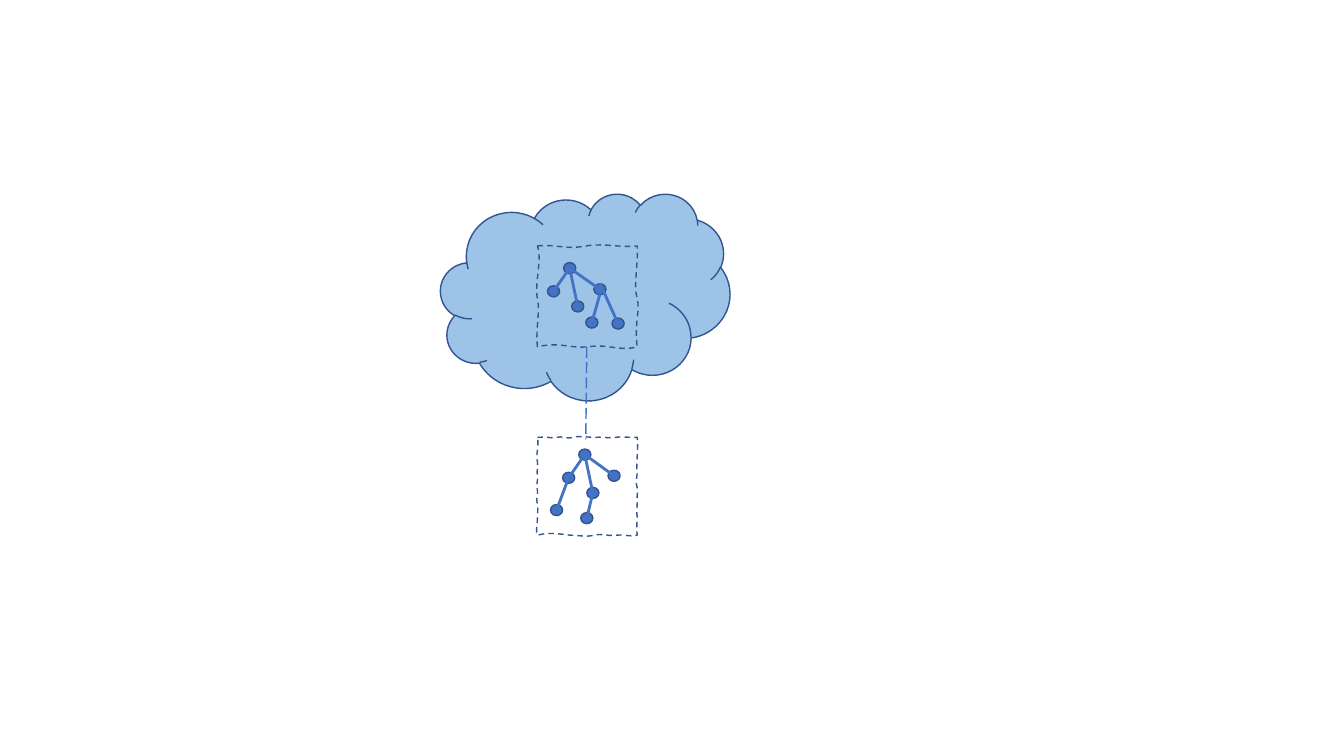
from pptx import Presentation
from pptx.dml.color import RGBColor
from pptx.enum import dml, shapes
from pptx.oxml.ns import qn
from pptx.util import Inches, Pt
from lxml import etree

SKY = RGBColor(0x9D, 0xC3, 0xE6)
BLUE = RGBColor(0x44, 0x72, 0xC4)
NAVY = RGBColor(0x32, 0x54, 0x91)

NODE_W, NODE_H = 0.12, 0.11
CLOUD = (4.37, 1.92, 2.87, 2.05)
LINK = ((5.82, 3.44), (5.81, 4.36))

# Nodes are centres; edges are (parent, child, vertical offset of the start).
# Each frame curve is two control points and an end point.
LOWER_TREE = {
    "nodes": [(5.8, 4.51), (5.64, 4.74), (5.88, 4.89),
              (6.09, 4.72), (5.52, 5.06), (5.82, 5.14)],
    "edges": [(0, 1, 0), (0, 2, 0), (1, 4, 0), (0, 3, 0), (2, 5, 0)],
    "start": (5.33, 4.34),
    "frame": [
        (5.41, 4.33, 5.47, 4.35, 5.52, 4.34), (5.56, 4.32, 5.64, 4.36, 5.68, 4.34),
        (5.73, 4.32, 5.85, 4.34, 5.9, 4.34), (5.95, 4.33, 6.03, 4.35, 6.09, 4.34),
        (6.15, 4.33, 6.23, 4.34, 6.32, 4.34), (6.33, 4.42, 6.32, 4.45, 6.32, 4.52),
        (6.32, 4.59, 6.31, 4.64, 6.32, 4.68), (6.32, 4.72, 6.3, 4.79, 6.32, 4.84),
        (6.33, 4.89, 6.31, 4.95, 6.32, 4.99), (6.32, 5.02, 6.31, 5.09, 6.32, 5.13),
        (6.32, 5.17, 6.31, 5.24, 6.32, 5.31), (6.25, 5.33, 6.21, 5.3, 6.11, 5.31),
        (6.01, 5.32, 5.98, 5.29, 5.89, 5.31), (5.81, 5.33, 5.74, 5.31, 5.67, 5.31),
        (5.61, 5.31, 5.46, 5.27, 5.33, 5.31), (5.31, 5.27, 5.33, 5.21, 5.33, 5.15),
        (5.33, 5.09, 5.34, 5.05, 5.33, 5), (5.31, 4.94, 5.34, 4.91, 5.33, 4.86),
        (5.31, 4.81, 5.34, 4.78, 5.33, 4.72), (5.32, 4.67, 5.34, 4.63, 5.33, 4.58),
        (5.31, 4.52, 5.35, 4.42, 5.33, 4.34),
    ],
}
UPPER_TREE = {
    "nodes": [(5.65, 2.66), (5.49, 2.89), (5.73, 3.04),
              (5.95, 2.87), (6.13, 3.21), (5.87, 3.2)],
    "edges": [(0, 1, 0), (0, 2, 0), (3, 4, -0.06), (0, 3, 0), (3, 5, 0.05)],
    "start": (5.33, 2.44),
    "frame": [
        (5.52, 2.42, 5.61, 2.48, 5.81, 2.44), (6.02, 2.41, 6.13, 2.46, 6.32, 2.44),
        (6.33, 2.64, 6.28, 2.84, 6.32, 2.96), (6.35, 3.08, 6.29, 3.22, 6.32, 3.44),
        (6.16, 3.49, 6.03, 3.41, 5.84, 3.44), (5.65, 3.46, 5.56, 3.39, 5.33, 3.44),
        (5.31, 3.25, 5.36, 3.1, 5.33, 2.96), (5.3, 2.81, 5.38, 2.57, 5.33, 2.44),
    ],
}


def set_line(item, color, width, dash=None):
    item.line.color.rgb = color
    item.line.width = Pt(width)
    if dash:
        item.line.dash_style = dash


def add_filled(page, kind, box, fill):
    shape = page.shapes.add_shape(kind, *map(Inches, box))
    shape.shadow.inherit = False
    shape.fill.solid()
    shape.fill.fore_color.rgb = fill
    set_line(shape, NAVY, 1)


def add_line(page, start, end, width, dash=None):
    line = page.shapes.add_connector(shapes.MSO_CONNECTOR.STRAIGHT,
                                     *map(Inches, (*start, *end)))
    set_line(line, BLUE, width, dash)
    etree.SubElement(line._element.spPr, qn("a:effectLst"))


def add_wavy_frame(page, start, curves):
    """Build the outline from the curve ends, then bend each side into its cubic curve."""
    builder = page.shapes.build_freeform(*map(Inches, start))
    builder.add_line_segments([tuple(map(Inches, curve[4:])) for curve in curves], close=True)
    frame = builder.convert_to_shape()
    sides = list(frame._element.iter(qn("a:lnTo")))
    for side, curve in zip(sides, curves):
        side.clear()
        bend = etree.Element(qn("a:cubicBezTo"))
        for x, y in zip(curve[::2], curve[1::2]):
            etree.SubElement(bend, qn("a:pt"), x=str(Inches(x) - frame.left),
                             y=str(Inches(y) - frame.top))
        side.getparent().replace(side, bend)
    frame.shadow.inherit = False
    frame.fill.background()
    set_line(frame, NAVY, 1, dml.MSO_LINE.DASH)


def add_tree(page, tree):
    nodes = tree["nodes"]
    for x, y in nodes:
        add_filled(page, shapes.MSO_SHAPE.FLOWCHART_CONNECTOR,
                   (x - NODE_W / 2, y - NODE_H / 2, NODE_W, NODE_H), BLUE)
    for parent, child, offset in tree["edges"]:
        x, y = nodes[parent]
        add_line(page, (x, y + offset), nodes[child], 2)
    add_wavy_frame(page, tree["start"], tree["frame"])


def main():
    deck = Presentation()
    deck.slide_width, deck.slide_height = Inches(13.33), Inches(7.5)
    page = deck.slides.add_slide(deck.slide_layouts[6])
    add_filled(page, shapes.MSO_SHAPE.CLOUD, CLOUD, SKY)
    add_tree(page, LOWER_TREE)
    add_line(page, *LINK, 1, dml.MSO_LINE.LONG_DASH)
    add_tree(page, UPPER_TREE)
    deck.save("out.pptx")


if __name__ == "__main__":
    main()
